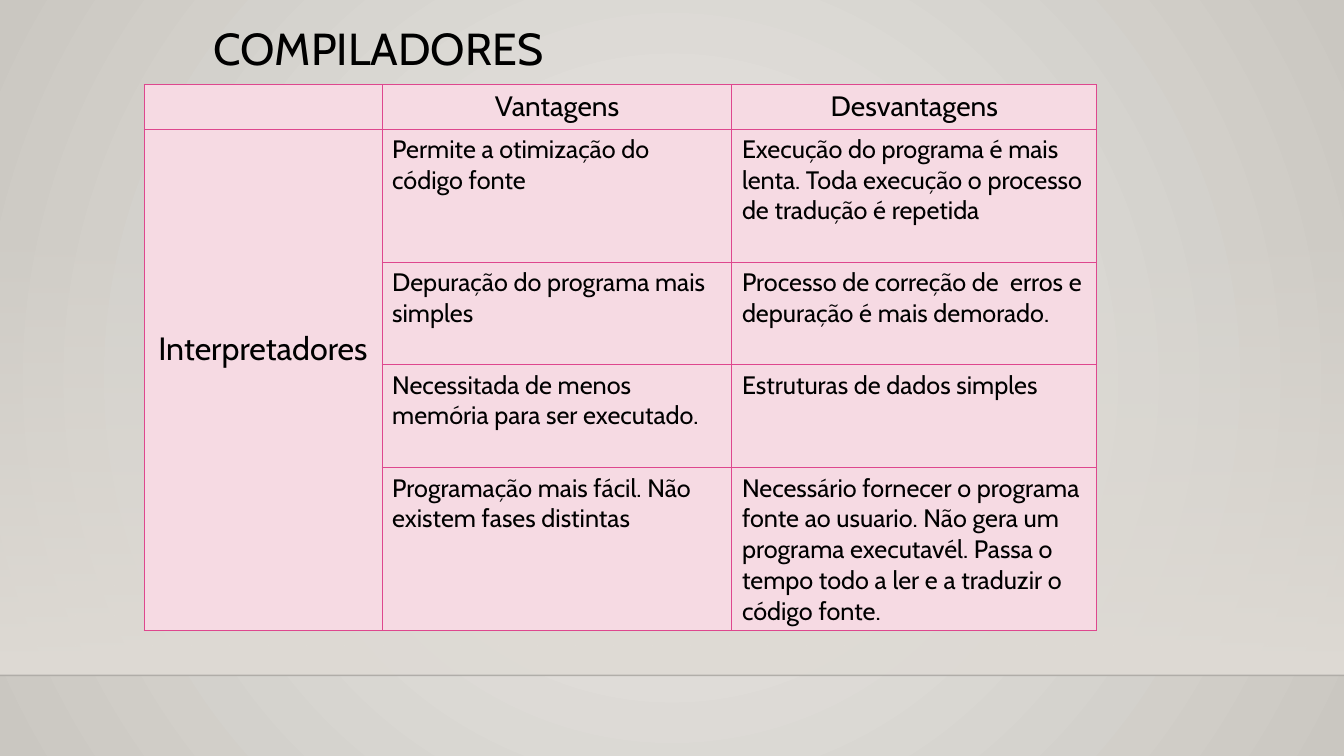
from lxml import etree
from pptx import Presentation
from pptx.dml.color import RGBColor
from pptx.enum.shapes import MSO_CONNECTOR, MSO_SHAPE
from pptx.enum.text import MSO_ANCHOR, PP_ALIGN
from pptx.oxml.ns import qn
from pptx.util import Inches, Pt

STRAIGHT = MSO_CONNECTOR.STRAIGHT
RECTANGLE = MSO_SHAPE.RECTANGLE
TOP, MIDDLE = MSO_ANCHOR.TOP, MSO_ANCHOR.MIDDLE
LEFT, CENTER = PP_ALIGN.LEFT, PP_ALIGN.CENTER

BLACK = RGBColor(0x00, 0x00, 0x00)
WALL_CENTER = RGBColor(0xEC, 0xEA, 0xE7)
WALL_EDGE = RGBColor(0xCA, 0xC7, 0xC1)
GLOW = RGBColor(0xDF, 0xDB, 0xD5)
PINK = RGBColor(0xF6, 0xDA, 0xE3)
MAGENTA = RGBColor(0xDE, 0x47, 0x8E)
FONT = "Cabin"

SLIDE_W, SLIDE_H = 13.33, 7.5
FLOOR_Y = 6.7
COLUMN_WIDTHS = [2.36, 3.47, 3.62]
ROW_HEIGHTS = [0.44, 1.32, 1.02, 1.02, 1.62]
HEADERS = ["Vantagens", "Desvantagens"]
COMPARISONS = [
    ("Permite a otimização do código fonte",
     "Execução do programa é mais lenta. Toda execução o processo de tradução é repetida"),
    ("Depuração do programa mais simples",
     "Processo de correção de  erros e depuração é mais demorado."),
    ("Necessitada de menos memória para ser executado.",
     "Estruturas de dados simples"),
    ("Programação mais fácil. Não existem fases distintas",
     "Necessário fornecer o programa fonte ao usuario. Não gera um programa executavél. "
     "Passa o tempo todo a ler e a traduzir o código fonte."),
]


def add_child(parent, tag, **attributes):
    child = etree.SubElement(parent, qn(tag))
    for key, value in attributes.items():
        child.set(key, str(value))
    return child


def set_gradient(fill, owner, start, end):
    fill.gradient()
    for stop, color in zip(fill.gradient_stops, (start, end)):
        stop.color.rgb = color
    gradient = next(owner.iter(qn("a:gradFill")))
    gradient.remove(gradient.find(qn("a:lin")))
    return gradient


def style_text(paragraph, size, align=LEFT):
    paragraph.alignment = align
    for run in paragraph.runs:
        run.font.name = FONT
        run.font.size = Pt(size)
        run.font.color.rgb = BLACK


def draw_backdrop(slide, width, height, floor_y):
    wall = set_gradient(slide.background.fill, slide.element, WALL_CENTER, WALL_EDGE)
    circle = add_child(wall, "a:path", path="circle")
    add_child(circle, "a:fillToRect", l=50000, t=50000, r=50000, b=50000)

    glow_height = height * 0.6
    glow = slide.shapes.add_shape(RECTANGLE, 0, Inches(floor_y - glow_height),
                                  Inches(width), Inches(glow_height))
    glow.shadow.inherit = False
    glow.line.fill.background()
    gradient = set_gradient(glow.fill, glow.element, GLOW, GLOW)
    add_child(next(gradient.iter(qn("a:srgbClr"))), "a:alpha", val=0)
    add_child(gradient, "a:lin", ang=5400000, scaled=0)

    floor = slide.shapes.add_connector(STRAIGHT, 0, Inches(floor_y),
                                       Inches(width), Inches(floor_y))
    floor.line.color.rgb = BLACK
    floor.line.width = Pt(1)
    add_child(next(floor.element.iter(qn("a:srgbClr"))), "a:alpha", val=20000)
    add_child(floor.element.spPr, "a:effectLst")


def draw_title(slide, left, top, width, height):
    title = slide.shapes.add_textbox(Inches(left), Inches(top), Inches(width), Inches(height))
    frame = title.text_frame
    frame.word_wrap = True
    frame.vertical_anchor = TOP
    frame.text = "COMPILADORES"
    frame.paragraphs[0].line_spacing = 0.9
    style_text(frame.paragraphs[0], 32)


def style_cell(cell):
    cell.fill.solid()
    cell.fill.fore_color.rgb = PINK
    properties = cell._tc.get_or_add_tcPr()
    for position, side in enumerate(("a:lnL", "a:lnR", "a:lnT", "a:lnB")):
        border = add_child(properties, side, w=Pt(0.75))
        add_child(add_child(border, "a:solidFill"), "a:srgbClr", val=MAGENTA)
        properties.insert(position, border)


def write_cell(cell, text, size, align=LEFT):
    cell.text_frame.text = text
    style_text(cell.text_frame.paragraphs[0], size, align)


def draw_comparison(slide, left, top):
    frame = slide.shapes.add_table(len(ROW_HEIGHTS), len(COLUMN_WIDTHS), Inches(left), Inches(top),
                                   Inches(sum(COLUMN_WIDTHS)), Inches(sum(ROW_HEIGHTS)))
    table = frame.table
    table.first_row = table.horz_banding = False
    for column, width in zip(table.columns, COLUMN_WIDTHS):
        column.width = Inches(width)
    for row, height in zip(table.rows, ROW_HEIGHTS):
        row.height = Inches(height)
    for cell in table.iter_cells():
        style_cell(cell)

    for column, header in enumerate(HEADERS, 1):
        write_cell(table.cell(0, column), header, 20, CENTER)
    for row, comparison in enumerate(COMPARISONS, 1):
        for column, text in enumerate(comparison, 1):
            write_cell(table.cell(row, column), text, 18)

    subject = table.cell(1, 0)
    subject.merge(table.cell(len(COMPARISONS), 0))
    write_cell(subject, "Interpretadores", 23, CENTER)
    subject.vertical_anchor = MIDDLE
    subject.margin_bottom = Inches(0.67)


def main():
    presentation = Presentation()
    presentation.slide_width = Inches(SLIDE_W)
    presentation.slide_height = Inches(SLIDE_H)
    slide = presentation.slides.add_slide(presentation.slide_layouts[6])
    draw_backdrop(slide, SLIDE_W, SLIDE_H, FLOOR_Y)
    draw_title(slide, 2.02, 0.22, 9, 1.25)
    draw_comparison(slide, 1.43, 0.84)
    presentation.save("out.pptx")


if __name__ == "__main__":
    main()
